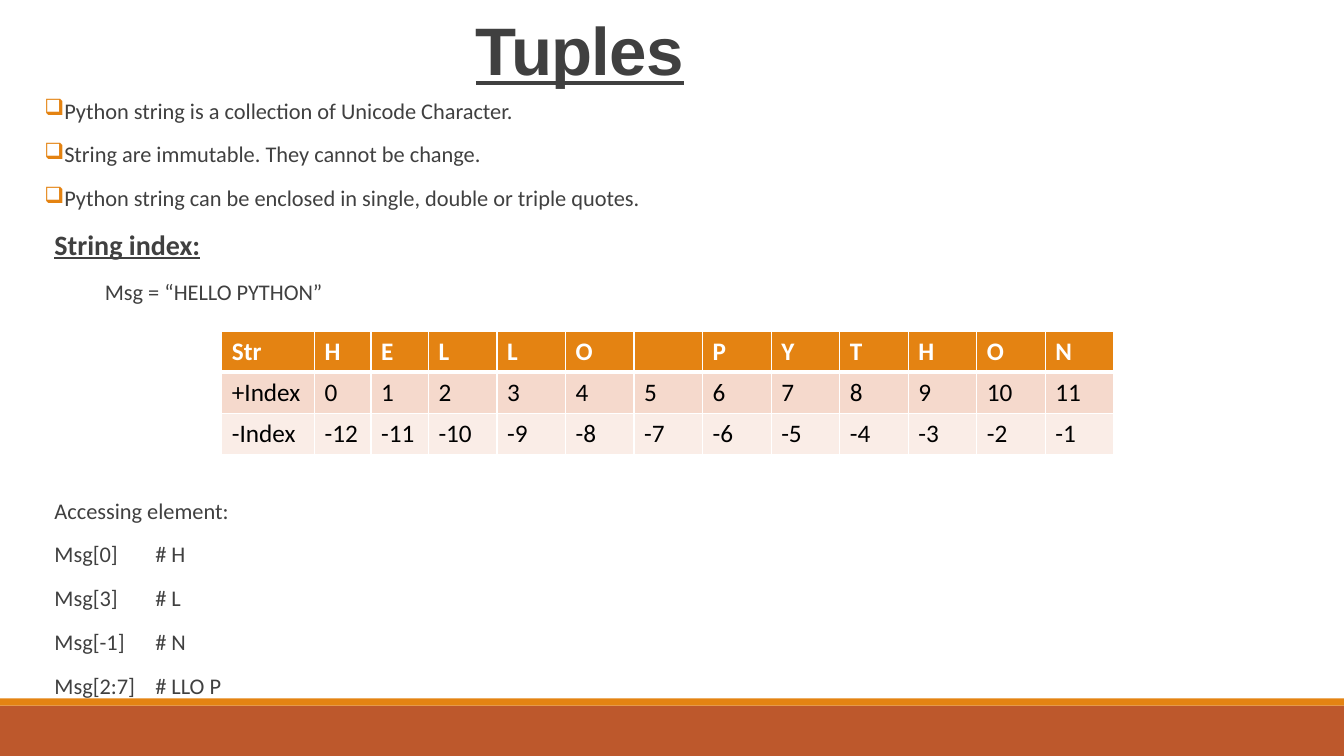
from dataclasses import dataclass

from lxml.etree import SubElement
from pptx import Presentation
from pptx.dml.color import RGBColor
from pptx.enum.shapes import MSO_SHAPE
from pptx.enum.text import MSO_ANCHOR, MSO_AUTO_SIZE, PP_ALIGN
from pptx.oxml import parse_xml
from pptx.oxml.ns import nsdecls, qn
from pptx.slide import Slide
from pptx.table import _Cell
from pptx.text.text import TextFrame
from pptx.util import Inches, Pt

WHITE = RGBColor(0xFF, 0xFF, 0xFF)
BLACK = RGBColor(0x00, 0x00, 0x00)
GREY = RGBColor(0x40, 0x40, 0x40)
ORANGE = RGBColor(0xE4, 0x83, 0x12)
RUST = RGBColor(0xBD, 0x58, 0x2C)
PEACH = RGBColor(0xF5, 0xD9, 0xCC)
PALE = RGBColor(0xFA, 0xED, 0xE7)
MESSAGE = "HELLO PYTHON"


@dataclass(frozen=True)
class Bar:
    top: float
    height: float
    color: RGBColor


@dataclass(frozen=True)
class Line:
    text: str
    bullet: bool = False
    heading: bool = False
    space_before: float = 12


@dataclass(frozen=True)
class IndexRow:
    values: list[str]
    fill: RGBColor
    color: RGBColor
    height: float
    bottom_border: float = 1
    bold: bool = False


BARS = [Bar(7, 0.5, RUST), Bar(6.93, 0.07, ORANGE)]
LINES = [
    Line("Python string is a collection of Unicode Character.", bullet=True),
    Line("String are immutable. They cannot be change.", bullet=True),
    Line("Python string can be enclosed in single, double or triple quotes.", bullet=True),
    Line("String index:", heading=True),
    Line(f"\tMsg = “{MESSAGE}”"),
    Line("Accessing element:", space_before=137),
    Line("Msg[0]\t# H"),
    Line("Msg[3]\t# L"),
    Line("Msg[-1]\t# N"),
    Line("Msg[2:7]\t# LLO P"),
]
LENGTH = len(MESSAGE)
ROWS = [
    IndexRow(["Str", *(letter.strip() for letter in MESSAGE)], ORANGE, WHITE, 0.4, 3, True),
    IndexRow(["+Index", *map(str, range(LENGTH))], PEACH, BLACK, 0.41),
    IndexRow(["-Index", *map(str, range(-LENGTH, 0))], PALE, BLACK, 0.41),
]
COLUMN_WIDTHS = [0.92, 0.56, 0.57] + [0.68] * 10


def add_bar(slide: Slide, bar: Bar) -> None:
    """Draw one full-width bar at the foot of the slide."""
    shape = slide.shapes.add_shape(
        MSO_SHAPE.RECTANGLE, 0, Inches(bar.top), Inches(13.33), Inches(bar.height)
    )
    shape.shadow.inherit = False
    shape.fill.solid()
    shape.fill.fore_color.rgb = bar.color
    shape.line.fill.background()


def format_title(slide: Slide) -> None:
    """Place and fill the title placeholder."""
    title = slide.shapes.title
    title.left, title.top = Inches(4.62), Inches(0.12)
    title.width, title.height = Inches(3.04), Inches(0.82)
    frame = title.text_frame
    frame.auto_size = MSO_AUTO_SIZE.NONE
    frame.vertical_anchor = MSO_ANCHOR.BOTTOM
    paragraph = frame.paragraphs[0]
    paragraph.alignment = PP_ALIGN.LEFT
    paragraph.line_spacing = 0.85
    run = paragraph.add_run()
    run.text = "Tuples"
    run.font.name, run.font.size = "Arial", Pt(48)
    run.font.bold = run.font.underline = True
    run.font.color.rgb = GREY
    run._r.get_or_add_rPr().set("spc", "-50")


def add_line(frame: TextFrame, line: Line, first: bool) -> None:
    """Write one paragraph of the body text."""
    paragraph = frame.paragraphs[0] if first else frame.add_paragraph()
    paragraph.line_spacing = 0.9
    paragraph.space_before = Pt(line.space_before)
    paragraph.space_after = Pt(2)
    properties = paragraph._p.get_or_add_pPr()
    properties.set("marL", str(Inches(0.1)))
    properties.set("indent", str(Inches(-0.1) if line.bullet else 0))
    if line.bullet:
        color = SubElement(properties, qn("a:buClr"))
        SubElement(color, qn("a:srgbClr"), val=str(ORANGE))
        SubElement(properties, qn("a:buChar"), char="❑")
    else:
        SubElement(properties, qn("a:buNone"))
    if "\t" in line.text:
        tabs = SubElement(properties, qn("a:tabLst"))
        SubElement(tabs, qn("a:tab"), pos=str(Inches(1)), algn="l")
    run = paragraph.add_run()
    run.text = line.text
    run.font.name, run.font.size = "Calibri", Pt(20 if line.heading else 16)
    run.font.bold = run.font.underline = line.heading
    run.font.color.rgb = GREY


def add_body(slide: Slide) -> None:
    """Add the text box that holds all body lines."""
    box = slide.shapes.add_textbox(Inches(0.44), Inches(0.94), Inches(11.02), Inches(5.99))
    frame = box.text_frame
    frame.word_wrap = True
    frame.margin_left = frame.margin_right = 0
    for position, line in enumerate(LINES):
        add_line(frame, line, position == 0)


def fill_cell(cell: _Cell, text: str, row: IndexRow) -> None:
    """Fill, border and write one table cell."""
    cell.fill.solid()
    cell.fill.fore_color.rgb = row.fill
    borders = {"lnL": 1, "lnR": 1, "lnT": 1, "lnB": row.bottom_border}
    for position, (side, width) in enumerate(borders.items()):
        border = parse_xml(
            f'<a:{side} {nsdecls("a")} w="{Pt(width)}"><a:solidFill>'
            f'<a:srgbClr val="{WHITE}"/></a:solidFill></a:{side}>'
        )
        cell._tc.get_or_add_tcPr().insert(position, border)
    if text:
        run = cell.text_frame.paragraphs[0].add_run()
        run.text = text
        run.font.name, run.font.size = "Calibri", Pt(18)
        run.font.bold = row.bold
        run.font.color.rgb = row.color


def add_index_table(slide: Slide) -> None:
    """Add the table of letters with both index rows."""
    table = slide.shapes.add_table(
        len(ROWS), len(COLUMN_WIDTHS), Inches(2.2), Inches(3.29), Inches(8.89), Inches(1.22)
    ).table
    for column, width in zip(table.columns, COLUMN_WIDTHS):
        column.width = Inches(width)
    for row_number, row in enumerate(ROWS):
        table.rows[row_number].height = Inches(row.height)
        for column_number, text in enumerate(row.values):
            fill_cell(table.cell(row_number, column_number), text, row)


def main() -> None:
    """Build and save the slide."""
    presentation = Presentation()
    presentation.slide_width, presentation.slide_height = Inches(13.33), Inches(7.5)
    slide = presentation.slides.add_slide(presentation.slide_layouts[5])
    for bar in BARS:
        add_bar(slide, bar)
    format_title(slide)
    add_body(slide)
    add_index_table(slide)
    presentation.save("out.pptx")


if __name__ == "__main__":
    main()
